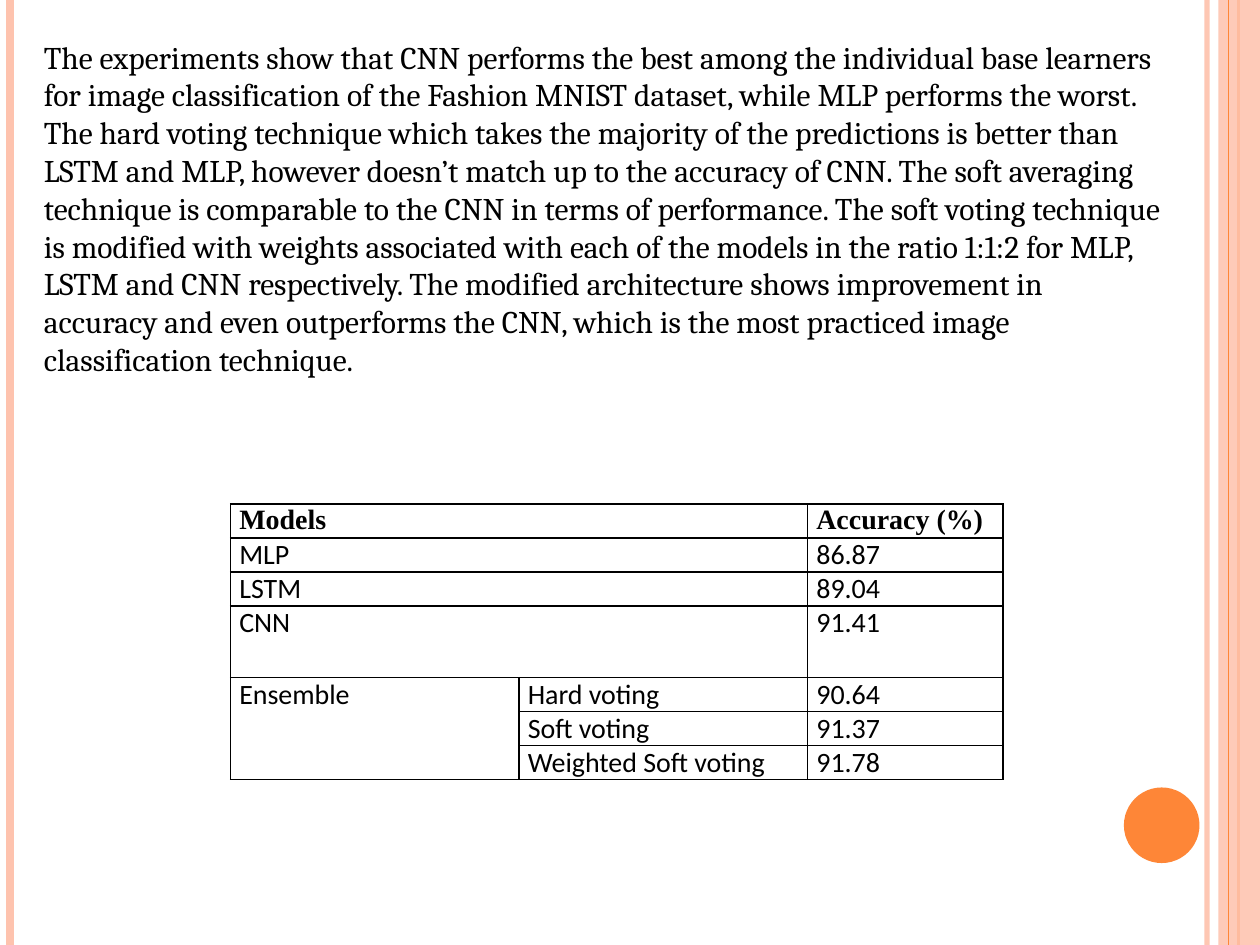
from dataclasses import dataclass

from lxml import etree
from pptx import Presentation
from pptx.dml.color import RGBColor
from pptx.enum import shapes
from pptx.oxml import ns
from pptx.util import Inches, Pt


@dataclass(frozen=True)
class Theme:
    ink: RGBColor = RGBColor(0, 0, 0)
    orange: RGBColor = RGBColor(0xFE, 0x86, 0x37)
    peach: RGBColor = RGBColor(0xFE, 0xC3, 0xAE)
    body_size: int = 18
    table_size: int = 16


theme = Theme()


def write(frame, words, font, size, bold=False):
    span = frame.paragraphs[0].add_run()
    span.text = words
    span.font.name = font
    span.font.size = Pt(size)
    span.font.bold = bold
    span.font.color.rgb = theme.ink


def set_opacity(color_format, percent):
    color = color_format._xFill.find(ns.qn("a:srgbClr"))
    etree.SubElement(color, ns.qn("a:alpha"), val=str(percent * 1000))


deck = Presentation()
deck.slide_width = Inches(10)
deck.slide_height = Inches(7.5)
page = deck.slides.add_slide(deck.slide_layouts[6])

# Side stripes, with the band above all but the last one
stripes = [
    (9.58, theme.peach, 3, 93),
    (0.08, theme.peach, 4.5, 100),
    (9.83, theme.orange, 1.5, 100),
    (9.75, theme.orange, 0.75, 100),
]
for number, (x, color, width, opacity) in enumerate(stripes):
    if number == len(stripes) - 1:
        band = page.shapes.add_shape(
            shapes.MSO_SHAPE.RECTANGLE, Inches(9.67), 0, Inches(0.33), Inches(7.5))
        band.shadow.inherit = False
        band.fill.solid()
        band.fill.fore_color.rgb = theme.peach
        set_opacity(band.fill.fore_color, 87)
        band.line.fill.background()
    stripe = page.shapes.add_connector(
        shapes.MSO_CONNECTOR.STRAIGHT, Inches(x), 0, Inches(x), Inches(7.5))
    stripe.line.color.rgb = color
    stripe.line.width = Pt(width)
    if opacity < 100:
        set_opacity(stripe.line.color, opacity)
    etree.SubElement(stripe._element.spPr, ns.qn("a:effectLst"))

dot = page.shapes.add_shape(
    shapes.MSO_SHAPE.OVAL, Inches(8.92), Inches(6.25), Inches(0.6), Inches(0.6))
dot.shadow.inherit = False
dot.fill.solid()
dot.fill.fore_color.rgb = theme.orange
dot.line.fill.background()

# Findings
findings = page.shapes.add_textbox(
    Inches(0.25), Inches(0.25), Inches(9.08), Inches(3.13))
findings.text_frame.word_wrap = True
write(
    findings.text_frame,
    "The experiments show that CNN performs the best among the individual base "
    "learners for image classification of the Fashion MNIST dataset, while MLP "
    "performs the worst. The hard voting technique which takes the majority of the "
    "predictions is better than LSTM and MLP, however doesn’t match up to the "
    "accuracy of CNN. The soft averaging technique is comparable to the CNN in terms "
    "of performance. The soft voting technique is modified with weights associated "
    "with each of the models in the ratio 1:1:2 for MLP, LSTM and CNN respectively. "
    "The modified architecture shows improvement in accuracy and even outperforms "
    "the CNN, which is the most practiced image classification technique.",
    font="Cambria", size=theme.body_size)

# Accuracy table
results = [
    ("Models", "", "Accuracy (%)"),
    ("MLP", "", "86.87"),
    ("LSTM", "", "89.04"),
    ("CNN", "", "91.41"),
    ("Ensemble", "Hard voting", "90.64"),
    ("", "Soft voting", "91.37"),
    ("", "Weighted Soft voting", "91.78"),
]
column_widths = [2.29, 2.29, 1.55]
row_heights = [0.27, 0.27, 0.27, 0.57, 0.27, 0.27, 0.27]
table = page.shapes.add_table(
    len(results), len(column_widths), Inches(1.83), Inches(4),
    Inches(sum(column_widths)), Inches(sum(row_heights))).table
table.first_row = False
table.horz_banding = False
for column, width in zip(table.columns, column_widths):
    column.width = Inches(width)

for r, (row, height) in enumerate(zip(results, row_heights)):
    table.rows[r].height = Inches(height)
    header = r == 0
    for c, words in enumerate(row):
        cell = table.cell(r, c)
        cell.margin_left = cell.margin_right = Inches(0.07)
        cell.margin_top = cell.margin_bottom = 0
        write(cell.text_frame, words, size=theme.table_size, bold=header,
              font="Times New Roman" if header else "Calibri")
        properties = cell._tc.get_or_add_tcPr()
        for side in ("lnL", "lnR", "lnT", "lnB"):
            border = etree.SubElement(properties, ns.qn(f"a:{side}"), w=str(Pt(1)))
            paint = etree.SubElement(border, ns.qn("a:solidFill"))
            etree.SubElement(paint, ns.qn("a:srgbClr"), val=str(theme.ink))
        cell.fill.background()

for r in range(4):
    table.cell(r, 0).merge(table.cell(r, 1))
table.cell(4, 0).merge(table.cell(6, 0))

deck.save("out.pptx")
